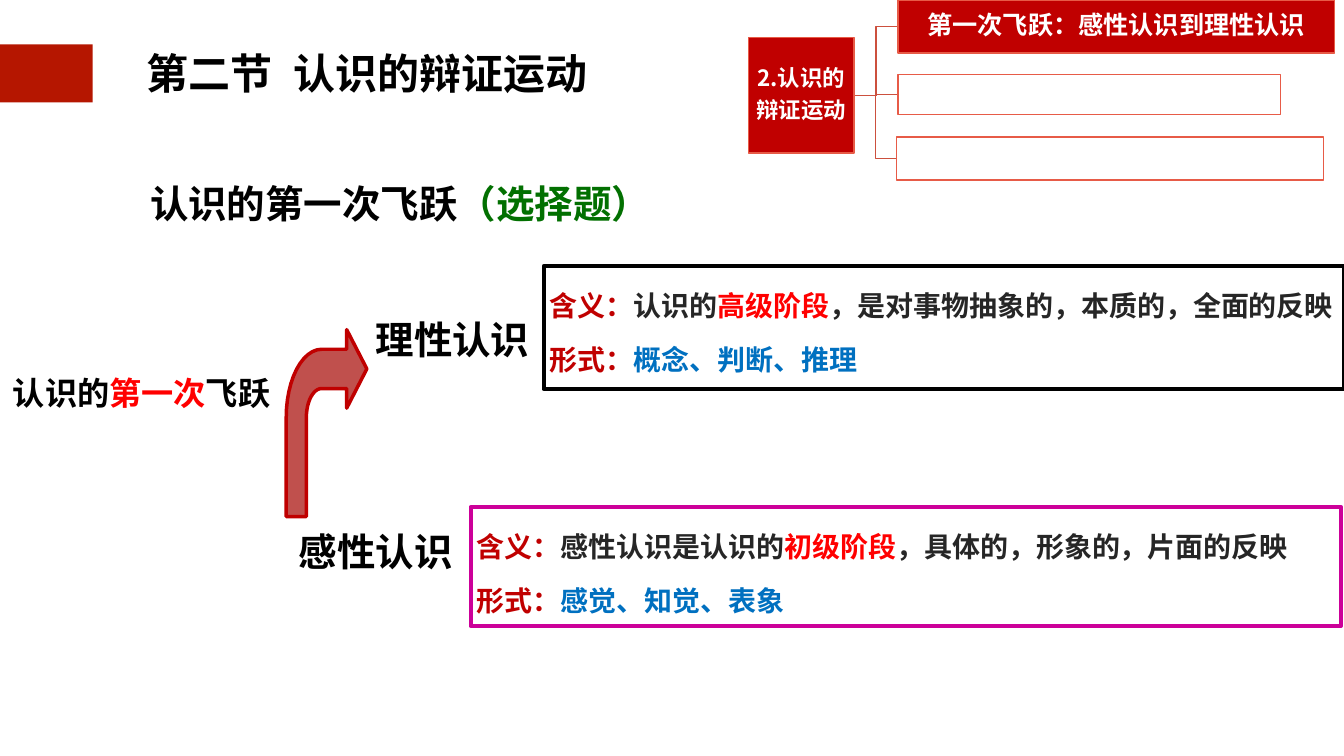
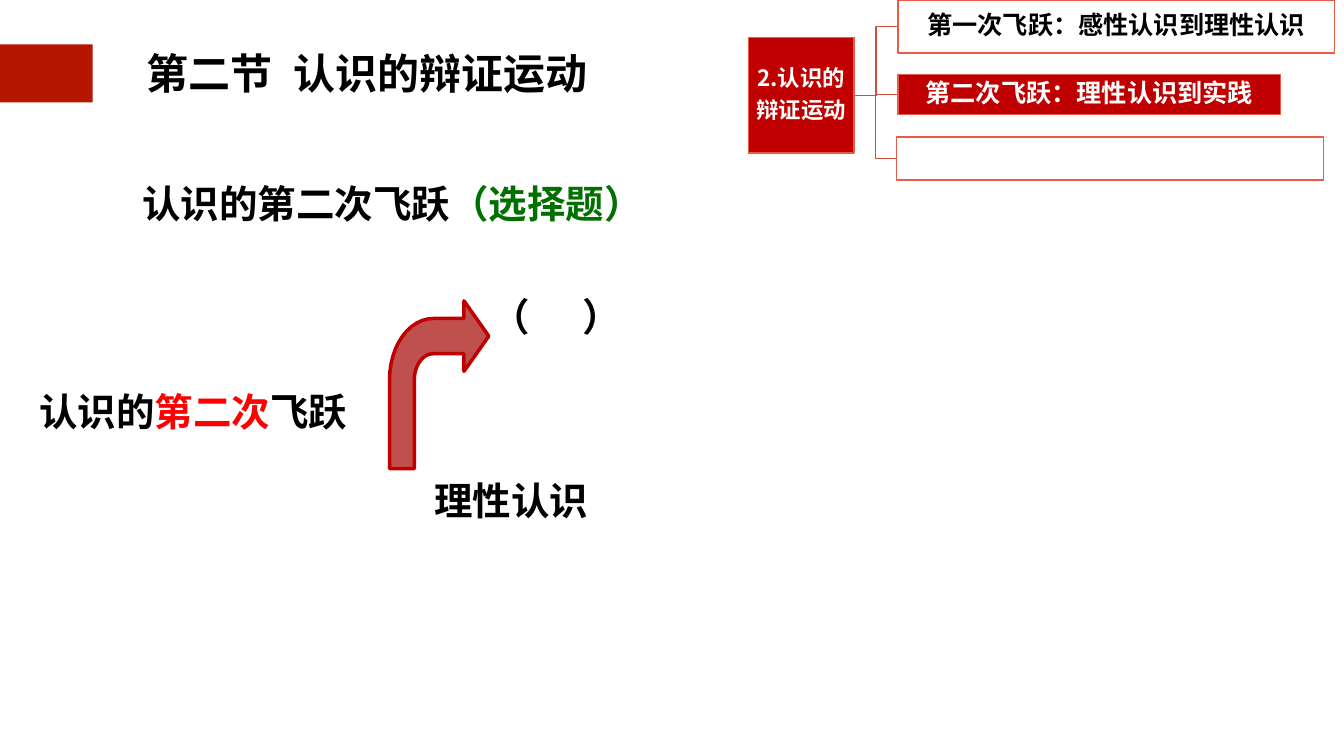
from math import cos, pi, sin

from lxml import etree
from pptx import Presentation
from pptx.dml.color import RGBColor
from pptx.enum.shapes import MSO_CONNECTOR as Connector
from pptx.enum.shapes import MSO_SHAPE as Shape
from pptx.enum.text import MSO_ANCHOR as Anchor
from pptx.enum.text import PP_ALIGN as Align
from pptx.oxml.ns import qn
from pptx.util import Inches, Pt

SANS = "Noto Sans CJK SC"
BLACK, WHITE, INK = "000000", "FFFFFF", "262626"
BAND, DEEP_RED, RED, BLUE, GREEN = "B51600", "C00000", "FF0000", "0070C0", "027001"
BRANCH, BRANCH_BORDER, ARROW, MAGENTA = "CC503E", "E75B47", "C0504D", "CC0099"


def color(value):
    return RGBColor.from_string(value)


def add_box(slide, place, paragraphs=(), size=55, font=SANS, kind=None, fill=None, line=None,
            inset=0.1, align=Align.LEFT, anchor=Anchor.TOP, wrap=True,
            spacing=1.0, before=0, after=0):
    bounds = [Inches(length) for length in place]
    if kind is None:
        shape = slide.shapes.add_textbox(*bounds)
    else:
        shape = slide.shapes.add_shape(kind, *bounds)
        shape.shadow.inherit = False
        shape.fill.solid()
        shape.fill.fore_color.rgb = color(fill)
        if line:
            shape.line.color.rgb = color(line[0])
            shape.line.width = Pt(line[1])
        else:
            shape.line.fill.background()
    frame = shape.text_frame
    frame.word_wrap = wrap
    frame.vertical_anchor = anchor
    frame.margin_left = frame.margin_right = Inches(inset)
    frame.margin_top = frame.margin_bottom = Inches(inset)
    for index, runs in enumerate(paragraphs):
        paragraph = frame.add_paragraph() if index else frame.paragraphs[0]
        paragraph.alignment = align
        paragraph.line_spacing = spacing
        paragraph.space_before = Pt(before if index else 0)
        paragraph.space_after = Pt(after)
        for text, tint, *tracking in runs:
            run = paragraph.add_run()
            run.text = text
            run.font.size = Pt(size)
            run.font.bold = True
            run.font.name = font
            run.font.color.rgb = color(tint)
            properties = run.font._element
            etree.SubElement(properties, qn("a:ea")).set("typeface", font)
            if tracking:
                properties.set("spc", str(tracking[0] * 100))
    return shape


lessons = [
    {
        "ordinal": "第一次",
        "heading": (2.88, 3.01, 15.64, 1.26),
        "leap": (0.16, 7.31, 7.24, 1.1),
        "leap_size": 46,
        "arrow": (5.68, 6.54, 1.6, 3.71),
        "labels": [
            (5.36, 10.28, [("感性认识", BLACK)]),
            (6.88, 6.06, [("理性认识", BLACK)]),
        ],
        "definitions": [
            ((9.34, 10.06, 17.27, 2.36), MAGENTA, "感性认识是认识的", "初级阶段",
             "，具体的，形象的，片面的反映", "感觉、知觉、表象"),
            ((10.79, 5.28, 15.89, 2.44), BLACK, "认识的", "高级阶段",
             "，是对事物抽象的，本质的，全面的反映", "概念、判断、推理"),
        ],
        "branches": ["第一次飞跃：感性认识到理性认识", "", ""],
        "active": 0,
    },
    {
        "ordinal": "第二次",
        "heading": (2.73, 3.02, 15.64, 1.26),
        "leap": (0.68, 7.59, 6.97, 1.26),
        "leap_size": 55,
        "arrow": (7.73, 5.97, 1.97, 3.33),
        "labels": [
            (8.05, 9.26, [("理性认识", BLACK)]),
            (8.94, 5.62, [("（", BLACK), (" ", BLACK, 62), ("）", BLACK)]),
        ],
        "definitions": [],
        "branches": ["第一次飞跃：感性认识到理性认识", "第二次飞跃：理性认识到实践", ""],
        "active": 1,
    },
]

branch_places = [(17.82, 0, 8.66, 1.05), (17.82, 1.48, 7.59, 0.79), (17.79, 2.72, 8.47, 0.85)]
root_place = (14.85, 0.74, 2.1, 2.3)
root_right, root_middle = 16.95, 1.89

quarter = [step * pi / 24 for step in range(13)]
bend_x, bend_y = 0.44, 0.47
arrow_outline = [(0, 1)]
arrow_outline += [(bend_x - 0.44 * cos(angle), bend_y - 0.365 * sin(angle)) for angle in quarter]
arrow_outline += [(0.75, 0.105), (0.75, 0), (1, 0.21), (0.75, 0.42), (0.75, 0.315)]
arrow_outline += [(bend_x - 0.19 * sin(angle), bend_y - 0.155 * cos(angle)) for angle in quarter]
arrow_outline += [(0.25, 1)]

presentation = Presentation()
presentation.slide_width = Inches(26.67)
presentation.slide_height = Inches(15)

for lesson in lessons:
    slide = presentation.slides.add_slide(presentation.slide_layouts[6])
    add_box(slide, (-0.03, 0.88, 1.87, 1.15), kind=Shape.RECTANGLE, fill=BAND)
    add_box(slide, (2.83, 0.81, 8.92, 1.28),
            [[("第二节", BLACK), (" ", BLACK, 15), ("认识的辩证运动", BLACK)]],
            size=60, font="Roboto", inset=0.06, align=Align.CENTER,
            anchor=Anchor.MIDDLE, wrap=False)

    for left, top, runs in lesson["labels"]:
        label = add_box(slide, (left, top, 4.2, 1.32), [runs], kind=Shape.ROUNDED_RECTANGLE,
                        fill=WHITE, inset=0.12, align=Align.CENTER, anchor=Anchor.MIDDLE)
        label.adjustments[0] = 0.19

    for place, border, opening, stage, ending, forms in lesson["definitions"]:
        meaning = [("含义：", DEEP_RED), (opening, INK), (stage, RED), (ending, INK)]
        add_box(slide, place, [meaning, [("形式：", DEEP_RED), (forms, BLUE)]], size=40,
                kind=Shape.RECTANGLE, fill=WHITE, line=(border, 6), inset=0.12,
                align=Align.JUSTIFY, spacing=1.5, before=5)

    left, top, width, height = lesson["arrow"]
    points = [(Inches(left + x * width), Inches(top + y * height)) for x, y in arrow_outline]
    builder = slide.shapes.build_freeform(*points[0])
    builder.add_line_segments(points[1:], close=True)
    arrow = builder.convert_to_shape()
    arrow.shadow.inherit = False
    arrow.fill.solid()
    arrow.fill.fore_color.rgb = color(ARROW)
    arrow.line.color.rgb = color(DEEP_RED)
    arrow.line.width = Pt(5)

    ordinal = lesson["ordinal"]
    add_box(slide, lesson["heading"],
            [[(f"认识的{ordinal}飞跃", BLACK), ("（选择题）", GREEN)]], spacing=1.5)
    add_box(slide, lesson["leap"],
            [[("认识的", BLACK), (ordinal, RED), ("飞跃", BLACK)]], size=lesson["leap_size"])

    for left, top, width, height in branch_places:
        connector = slide.shapes.add_connector(
            Connector.ELBOW, Inches(root_right), Inches(root_middle),
            Inches(left), Inches(top + height / 2))
        connector.line.color.rgb = color(BRANCH)
        connector.line.width = Pt(2)
        etree.SubElement(connector._element.spPr, qn("a:effectLst"))

    branch_style = dict(kind=Shape.RECTANGLE, line=(BRANCH_BORDER, 2), align=Align.CENTER,
                        anchor=Anchor.MIDDLE, spacing=0.9)
    add_box(slide, root_place, [[("2.认识的", WHITE)], [("辩证运动", WHITE)]], size=32,
            fill=DEEP_RED, inset=0.02, after=11, **branch_style)
    for index, (place, text) in enumerate(zip(branch_places, lesson["branches"])):
        active = index == lesson["active"]
        add_box(slide, place, [[(text, WHITE if active else BLACK)]] if text else [], size=36,
                fill=DEEP_RED if active else WHITE, inset=0.03, after=12.6, **branch_style)

presentation.save("out.pptx")
